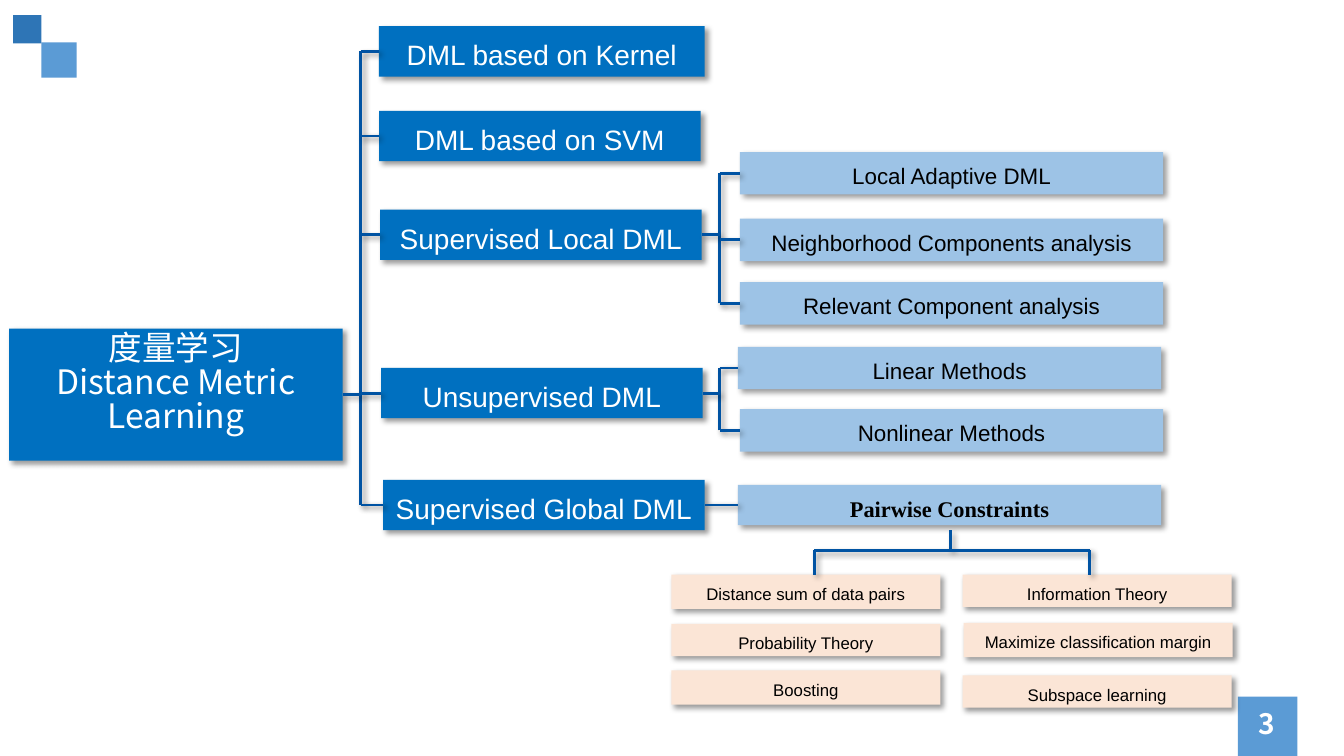
from lxml import etree
from pptx import Presentation
from pptx import util as u
from pptx.dml.color import RGBColor
from pptx.enum import shapes, text
from pptx.oxml.ns import qn

CELL = u.Inches(0.1)
COLUMNS, ROWS = 133.33, 75
TOP, LEFT, BOTTOM, RIGHT = range(4)
SANS, SERIF, CJK = "Arial", "Times New Roman", "Noto Sans CJK SC"
DEEP, MID, SKY, PEACH = "0070C0", "5B9BD5", "9DC3E6", "FBE5D6"


def cells(*counts):
    """Turn counts of grid cells into lengths."""
    return [u.Emu(round(count * CELL)) for count in counts]


def color(target, value):
    """Give a fill or a font colour a hex value."""
    target.rgb = RGBColor.from_string(value)


def add_shadow(item):
    """Add a soft shadow towards the lower right."""
    effects = etree.SubElement(item._element.spPr, qn("a:effectLst"))
    outer = etree.SubElement(effects, qn("a:outerShdw"), blurRad=str(u.Pt(4)),
                             dist=str(u.Pt(3)), dir="2700000", algn="tl", rotWithShape="0")
    black = etree.SubElement(outer, qn("a:srgbClr"), val="000000")
    etree.SubElement(black, qn("a:alpha"), val="40000")


def add_block(page, place, fill):
    """Draw a plain filled rectangle."""
    block = page.shapes.add_shape(shapes.MSO_SHAPE.RECTANGLE, *cells(*place))
    block.fill.solid()
    color(block.fill.fore_color, fill)
    block.line.fill.background()
    return block


def write(box, lines, size, font, ink, bold=False, spacing=None):
    """Write centred paragraphs into a box."""
    frame = box.text_frame
    frame.word_wrap = True
    for index, line in enumerate(lines):
        para = frame.add_paragraph() if index else frame.paragraphs[0]
        para.alignment = text.PP_ALIGN.CENTER
        para.line_spacing = spacing
        span = para.add_run()
        span.text = line
        span.font.size = u.Pt(size)
        span.font.name = font
        span.font.bold = bold
        color(span.font.color, ink)
        etree.SubElement(span.font._element, qn("a:ea"), typeface=font)


def add_node(page, place, fill, lines, size, font=SANS, ink="000000", bold=False, spacing=1.2):
    """Draw a shadowed box with its label."""
    box = add_block(page, place, fill)
    add_shadow(box)
    box.text_frame.vertical_anchor = text.MSO_ANCHOR.TOP
    write(box, lines, size, font, ink, bold, spacing)
    return box


def add_line(page, start, end):
    """Draw a shadowed straight line between two points."""
    line = page.shapes.add_connector(shapes.MSO_CONNECTOR.STRAIGHT, *start, *end)
    color(line.line.color, "0053A3")
    line.line.width = u.Pt(2)
    add_shadow(line)
    return line


def middle(box):
    """Return the height of a box's centre."""
    return box.top + box.height // 2


def add_bracket(page, parent, children, column):
    """Join a parent to its children through an upright line."""
    spine, = cells(column)
    add_line(page, (spine, middle(children[-1])), (spine, middle(children[0])))
    stem = add_line(page, (parent.left + parent.width, middle(parent)), (spine, middle(parent)))
    stem.begin_connect(parent, RIGHT)
    for child in children:
        stub = add_line(page, (spine, middle(child)), (child.left, middle(child)))
        stub.end_connect(child, LEFT)


def add_fork(page, stem, arms, top, bar, bottom):
    """Draw a stem, a level bar and its two arms."""
    for ends in [(stem, top, stem, bar), (arms[0], bar, arms[1], bar),
                 *((arm, bar, arm, bottom) for arm in arms)]:
        points = cells(*ends)
        add_line(page, points[:2], points[2:])


def add_decoration(page):
    """Draw the corner squares and the page number."""
    for place, fill in [((4.1, 4.2, 3.5, 3.5), MID), ((1.3, 1.5, 2.8, 2.8), "2E75B6"),
                        ((122.8, 69.1, 5.9, 5.9), MID)]:
        add_block(page, place, fill).shadow.inherit = False
    number = page.shapes.add_textbox(*cells(118.1, 69.8, 15.2, 4))
    number.text_frame.vertical_anchor = text.MSO_ANCHOR.MIDDLE
    write(number, ["3"], 20, CJK, "FFFFFF", bold=True)


def main():
    """Build the tree of distance metric learning methods."""
    deck = Presentation()
    deck.slide_width, deck.slide_height = cells(COLUMNS, ROWS)
    page = deck.slides.add_slide(deck.slide_layouts[6])
    add_decoration(page)

    root = add_node(page, (0.9, 32.6, 33.1, 13.1), DEEP, ["度量学习", "Distance Metric Learning"],
                    24, CJK, "FFFFFF", spacing=0.84)
    families = [add_node(page, (left, top, width, 5), DEEP, [label], 20, ink="FFFFFF")
                for left, top, width, label in [
                    (37.6, 2.6, 32.3, "DML based on Kernel"),
                    (37.6, 11, 31.9, "DML based on SVM"),
                    (37.7, 20.8, 31.9, "Supervised Local DML"),
                    (37.8, 36.5, 31.9, "Unsupervised DML"),
                    (38, 47.6, 31.9, "Supervised Global DML")]]
    methods = [add_node(page, (left, top, 42, 4.2), SKY, [label], 16)
               for left, top, label in [
                   (73.4, 15.1, "Local Adaptive DML"),
                   (73.4, 21.7, "Neighborhood Components analysis"),
                   (73.4, 28, "Relevant Component analysis"),
                   (73.2, 34.4, "Linear Methods"),
                   (73.4, 40.6, "Nonlinear Methods")]]
    pairwise = add_node(page, (73.2, 48.1, 42, 4), SKY, ["Pairwise Constraints"], 16, SERIF,
                        bold=True)
    for left, top, height, label in [
            (66.6, 57, 3.4, "Distance sum of data pairs"),
            (66.6, 61.9, 3.2, "Probability Theory"),
            (66.6, 66.5, 3.4, "Boosting"),
            (95.5, 57, 3.2, "Information Theory"),
            (95.6, 61.8, 3.4, "Maximize classification margin"),
            (95.5, 67, 3.2, "Subspace learning")]:
        add_node(page, (left, top, 26.7, height), PEACH, [label], 12)

    add_bracket(page, root, families, 35.8)
    add_bracket(page, families[2], methods[:3], 71.4)
    add_bracket(page, families[3], methods[3:], 71.4)
    supervised = families[4]
    link = add_line(page, (supervised.left + supervised.width, middle(supervised)),
                    (pairwise.left, middle(pairwise)))
    link.begin_connect(supervised, RIGHT)
    link.end_connect(pairwise, LEFT)
    add_fork(page, 94.3, (80.8, 108.1), 52.6, 54.6, 57)
    deck.save("out.pptx")


if __name__ == "__main__":
    main()
